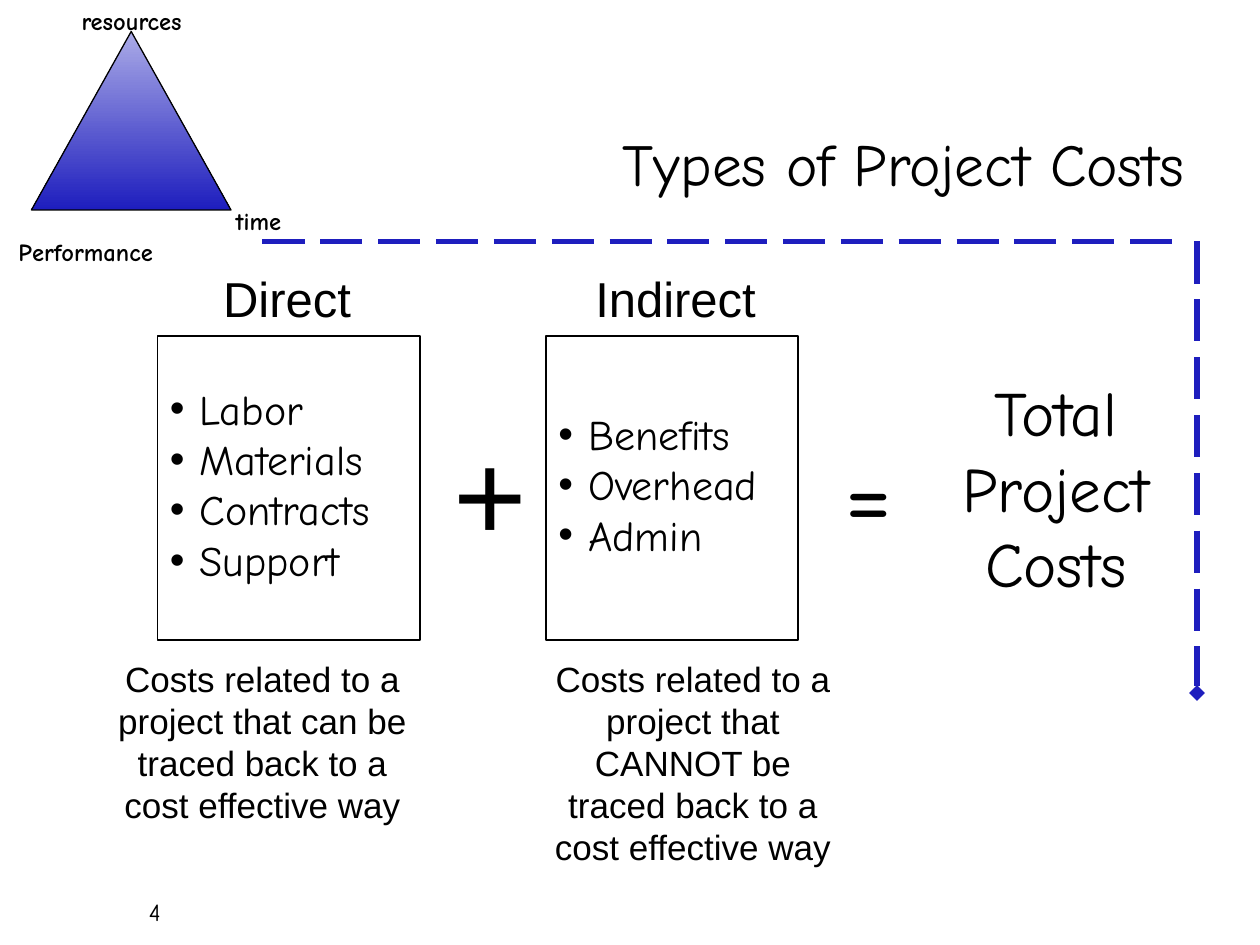
import pptx
import pptx.util
import pptx.dml.color
import pptx.enum.dml
import pptx.enum.shapes
import pptx.enum.text
import pptx.oxml
import pptx.oxml.ns

Pt = pptx.util.Pt
ALIGN = pptx.enum.text.PP_ALIGN
SHAPE = pptx.enum.shapes.MSO_SHAPE
MIDDLE = pptx.enum.text.MSO_ANCHOR.MIDDLE
COMIC, ARIAL = "Comic Neue", "Arial"
HUES = {"ink": "000000", "paper": "FFFFFF", "blue": "1E1EBE", "pale": "ABABE7"}


def hue(name):
    return pptx.dml.color.RGBColor.from_string(HUES[name])


def apply(thing, look):
    for name, value in look.items():
        setattr(thing, name, value)


def add_xml(parent, tag, **attrs):
    node = pptx.oxml.parse_xml(f"<a:{tag} {pptx.oxml.ns.nsdecls('a')}/>")
    for name, value in attrs.items():
        node.set(name, value)
    parent.append(node)
    return node


def write(frame, lines, font, size, align, bold=False):
    """Fill a text frame, one paragraph a line."""
    for i, line in enumerate(lines):
        para = frame.paragraphs[0] if i == 0 else frame.add_paragraph()
        para.alignment = align
        run = para.add_run()
        run.text = line
        apply(run.font, {"name": font, "size": Pt(size), "bold": bold})
        run.font.color.rgb = hue("ink")


def add_text(slide, place, lines, font, size, align=ALIGN.CENTER,
             bold=False, wrap=False):
    box = slide.shapes.add_textbox(*map(Pt, place))
    box.text_frame.word_wrap = wrap
    write(box.text_frame, lines, font, size, align, bold)


def add_shape(slide, kind, place, width):
    shape = slide.shapes.add_shape(kind, *map(Pt, place))
    shape.shadow.inherit = False
    shape.line.color.rgb = hue("ink")
    shape.line.width = Pt(width)
    return shape


def add_peak(slide):
    peak = add_shape(slide, SHAPE.ISOSCELES_TRIANGLE, (18, 18, 114, 102), 0.75)
    peak.fill.gradient()
    peak.fill.gradient_angle = 270
    for stop, name, spot in zip(peak.fill.gradient_stops, ("pale", "blue"), (0, 1)):
        stop.color.rgb = hue(name)
        stop.position = spot


def add_dash(slide, ends, tip=None):
    line = slide.shapes.add_connector(
        pptx.enum.shapes.MSO_CONNECTOR.STRAIGHT, *map(Pt, ends))
    line.line.color.rgb = hue("blue")
    apply(line.line, {"width": Pt(3),
                      "dash_style": pptx.enum.dml.MSO_LINE.LONG_DASH})
    if tip:
        add_xml(line.line._get_or_add_ln(), "tailEnd", type=tip)
    add_xml(line._element.spPr, "effectLst")


def add_list(slide, place, items):
    """Framed box of bulleted costs."""
    box = add_shape(slide, SHAPE.RECTANGLE, place, 1)
    box.fill.solid()
    box.fill.fore_color.rgb = hue("paper")
    tint = box._element.spPr.find(".//" + pptx.oxml.ns.qn("a:srgbClr"))
    add_xml(tint, "alpha", val="50000")
    frame = box.text_frame
    apply(frame, {"word_wrap": True, "vertical_anchor": MIDDLE,
                  "margin_bottom": Pt(8.4)})
    write(frame, items, COMIC, 24, ALIGN.LEFT)
    for para in frame.paragraphs:
        props = para._p.get_or_add_pPr()
        props.set("marL", str(Pt(17)))
        props.set("indent", str(-Pt(17)))
        add_xml(props, "buFont", typeface=ARIAL)
        add_xml(props, "buChar", char="•")


def add_title(slide, text):
    title = slide.shapes.title
    apply(title, {"left": Pt(150), "top": Pt(48),
                  "width": Pt(534), "height": Pt(90)})
    apply(title.text_frame, {"word_wrap": True, "vertical_anchor": MIDDLE,
                             "auto_size": pptx.enum.text.MSO_AUTO_SIZE.NONE})
    write(title.text_frame, [text], COMIC, 34, ALIGN.RIGHT)


def main():
    deck = pptx.Presentation()
    apply(deck, {"slide_width": Pt(720), "slide_height": Pt(540)})
    slide = deck.slides.add_slide(deck.slide_layouts[5])

    # Triangle with its corner labels
    add_peak(slide)
    for text, place in (("resources", (39.5, 0, 73, 24)),
                        ("Performance", (3.5, 132, 92, 24)),
                        ("time", (127.5, 114, 40.5, 24))):
        add_text(slide, place, [text], COMIC, 14, ALIGN.LEFT, bold=True)

    # Dashed frame
    add_dash(slide, (150, 138, 678, 138))
    add_dash(slide, (684, 138, 684, 396), "diamond")

    add_title(slide, "Types of Project Costs")

    # Cost kinds: heading, list and note
    kinds = (
        ("Direct", (114, 100), (90, 150), 60,
         ["Labor", "Materials", "Contracts", "Support"],
         "Costs related to a project that can be traced back to a cost effective way"),
        ("Indirect", (326, 120), (312, 144), 306,
         ["Benefits", "Overhead", "Admin"],
         "Costs related to a project that CANNOT be traced back to a cost effective way"),
    )
    for head, (left, width), (edge, span), start, items, note in kinds:
        add_list(slide, (edge, 192, span, 174), items)
        add_text(slide, (left, 150, width, 41), [head], ARIAL, 28)
        add_text(slide, (start, 372, 180, 127), [note], ARIAL, 20, wrap=True)

    # Signs and sum
    add_text(slide, (252, 234, 56, 94), ["+"], ARIAL, 72)
    add_text(slide, (475.5, 240, 42, 79), ["="], COMIC, 60)
    add_text(slide, (542.5, 210, 122, 137), ["Total", "Project", "Costs"], COMIC, 36)

    # Page number
    add_text(slide, (78, 509, 462, 24), ["4"], COMIC, 14, ALIGN.LEFT, wrap=True)

    deck.save("out.pptx")


if __name__ == "__main__":
    main()
